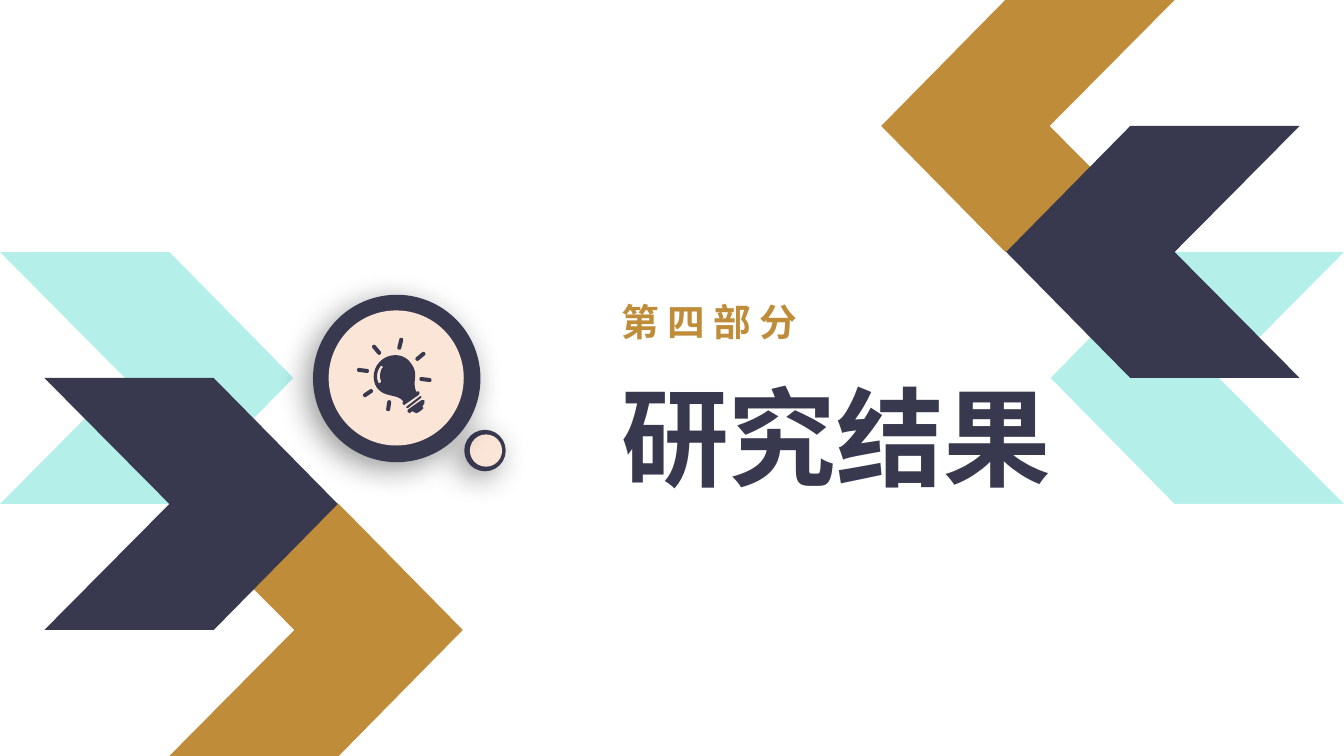
from math import atan2, cos, pi, sin

from lxml import etree
from pptx import Presentation
from pptx.dml.color import RGBColor
from pptx.enum.shapes import MSO_SHAPE as SHAPE
from pptx.enum.text import MSO_ANCHOR as ANCHOR, MSO_AUTO_SIZE as AUTO, PP_ALIGN as ALIGN
from pptx.oxml import parse_xml
from pptx.oxml.ns import nsdecls, qn
from pptx.util import Inches, Pt

W, H = 13.33, 7.5
NAVY, GOLD, MINT, PEACH, WHITE = "38384F", "BF8C39", "B4EFE9", "FBE5D6", "FFFFFF"
FONT = "Noto Sans CJK SC"

# Chevron pointing right; turned by half it points left
CHEVRON = [(1.68, 0), (0, 0), (1.24, 1.25), (0, 2.5), (1.68, 2.5), (2.91, 1.25)]
LEFT_CHEVRONS = [(0, 5, WHITE), (0, 2.5, MINT), (1.68, 5, GOLD), (0, 0, WHITE),
                 (0.44, 3.75, NAVY)]
RIGHT_CHEVRONS = LEFT_CHEVRONS[1:]

# Light bulb: rays as centre lines, outlines as a start point and Bezier curves
RAYS = [(3.71, 3.44, 3.76, 3.5), (3.56, 3.67, 3.64, 3.68), (3.62, 3.92, 3.68, 3.88),
        (3.85, 4.06, 3.86, 3.99), (4.18, 3.76, 4.26, 3.77), (4.14, 3.56, 4.2, 3.51),
        (3.98, 3.37, 3.96, 3.45)]
SCREW = (4.04, 4.04, 4.17, 3.94)
TIP = [(4.18, 3.97), (4.05, 4.06), (4.04, 4.08), (4.06, 4.1), (4.09, 4.08), (4.11, 4.09),
       (4.13, 4.1), (4.15, 4.09), (4.18, 4.07), (4.2, 4.05), (4.19, 4.03), (4.21, 4),
       (4.21, 3.97)]
GLASS = (4.16, 3.89), [(4.16, 3.9, 4.16, 3.91, 4.15, 3.92), (4.02, 4.01, 4.02, 4.01, 4.02, 4.01),
                       (4.01, 4.02, 4, 4.02, 4, 4.01), (3.99, 4, 3.99, 3.99, 4, 3.98),
                       (3.93, 3.9, 3.82, 3.95, 3.74, 3.85), (3.68, 3.76, 3.7, 3.63, 3.8, 3.56),
                       (3.89, 3.5, 4.02, 3.51, 4.08, 3.61), (4.16, 3.71, 4.08, 3.79, 4.13, 3.89),
                       (4.14, 3.88, 4.15, 3.88, 4.16, 3.89)]
GLINT = (3.79, 3.63), [(3.78, 3.63, 3.77, 3.63, 3.77, 3.64), (3.74, 3.68, 3.73, 3.74, 3.75, 3.79),
                       (3.75, 3.8, 3.76, 3.8, 3.77, 3.8), (3.78, 3.79, 3.78, 3.78, 3.78, 3.78),
                       (3.76, 3.74, 3.77, 3.69, 3.79, 3.65), (3.8, 3.65, 3.8, 3.64, 3.79, 3.63)]


def rgb(value):
    return RGBColor.from_string(value)


def capsule(x1, y1, x2, y2, radius=0.02, steps=6):
    """Points of a round-ended bar."""
    angle = atan2(y2 - y1, x2 - x1)
    points = []
    for x, y, start in ((x2, y2, angle - pi / 2), (x1, y1, angle + pi / 2)):
        turns = [start + pi * i / steps for i in range(steps + 1)]
        points += [(x + radius * cos(t), y + radius * sin(t)) for t in turns]
    return points


def curve(start, segments, steps=8):
    """Points along a chain of cubic Bezier curves."""
    points = [start]
    for x1, y1, x2, y2, x3, y3 in segments:
        ends = [points[-1], (x1, y1), (x2, y2), (x3, y3)]
        for i in range(1, steps + 1):
            t = i / steps
            weights = [(1 - t) ** 3, 3 * t * (1 - t) ** 2, 3 * t * t * (1 - t), t ** 3]
            points.append(tuple(sum(w * e[k] for w, e in zip(weights, ends)) for k in (0, 1)))
    return points


class SectionSlide:
    def __init__(self, prs):
        self.s = prs.slides.add_slide(prs.slide_layouts[0])

    def paint(self, sp, color):
        sp.shadow.inherit = False
        sp.fill.solid()
        sp.fill.fore_color.rgb = rgb(color)
        sp.line.fill.background()
        return sp

    def outline(self, shapes, contours, color):
        first, *others = [[(Inches(x), Inches(y)) for x, y in points] for points in contours]
        builder = shapes.build_freeform(*first[0])
        builder.add_line_segments(first[1:])
        for points in others:
            builder.move_to(*points[0])
            builder.add_line_segments(points[1:])
        return self.paint(builder.convert_to_shape(), color)

    def chevron(self, x, y, color, turned=False):
        points = [(x + dx, y + dy) for dx, dy in CHEVRON]
        if turned:
            points = [(W - px, H - py) for px, py in points]
        self.outline(self.s.shapes, [points], color)

    def ellipse(self, shapes, x, y, w, h, color):
        box = [Inches(v) for v in (x, y, w, h)]
        return self.paint(shapes.add_shape(SHAPE.OVAL, *box), color)

    def bubble(self, x, y, size, inner_x, inner_y, inner_size):
        shapes = self.s.shapes.add_group_shape().shapes
        ring = self.ellipse(shapes, x, y, size, size, NAVY)
        ring.line.color.rgb = rgb(NAVY)
        ring.line.width = Pt(2.25)
        effects = ring.element.spPr.find(qn("a:effectLst"))
        effects.append(parse_xml(
            f'<a:outerShdw {nsdecls("a")} blurRad="{Pt(22)}" dist="{Pt(7)}" dir="{135 * 60000}" '
            'algn="tr" rotWithShape="0"><a:srgbClr val="000000"><a:alpha val="40000"/>'
            '</a:srgbClr></a:outerShdw>'))
        self.ellipse(shapes, inner_x, inner_y, inner_size, inner_size, PEACH)
        return shapes

    def heading(self, sp, text, x, y, w, h, size, color):
        sp.left, sp.top, sp.width, sp.height = [Inches(v) for v in (x, y, w, h)]
        sp.element.getparent().append(sp.element)  # bring to front
        tf = sp.text_frame
        tf.text = text
        tf.word_wrap = True
        tf.auto_size = AUTO.NONE
        tf.vertical_anchor = ANCHOR.MIDDLE
        tf.margin_top = tf.margin_bottom = 0
        p = tf.paragraphs[0]
        p.alignment = ALIGN.LEFT
        p.line_spacing = 1.0
        p.space_before = Pt(0)
        font = p.runs[0].font
        font.name, font.size, font.bold = FONT, Pt(size), True
        font.color.rgb = rgb(color)
        etree.SubElement(font._element, qn("a:ea")).set("typeface", FONT)


def main():
    prs = Presentation()
    prs.slide_width, prs.slide_height = Inches(W), Inches(H)
    slide = SectionSlide(prs)
    title, subtitle = slide.s.placeholders

    # Chevrons on the right and left
    for x, y, color in RIGHT_CHEVRONS:
        slide.chevron(x, y, color, turned=True)
    for x, y, color in LEFT_CHEVRONS:
        slide.chevron(x, y, color)

    # Section number and title
    slide.heading(subtitle, "第 四 部 分", 6.06, 2.91, 4.05, 0.55, 26.9, GOLD)
    slide.heading(title, "研究结果", 6.06, 3.63, 5.73, 1.38, 76.8, NAVY)

    # Bubbles with the light bulb
    slide.bubble(4.62, 4.28, 0.38, 4.66, 4.31, 0.32)
    large = slide.bubble(3.12, 2.94, 1.63, 3.26, 3.08, 1.34)
    bulb = [capsule(*ray) for ray in RAYS]
    bulb += [capsule(*SCREW, radius=0.01), TIP, curve(*GLASS), curve(*GLINT)]
    slide.outline(large, bulb, NAVY)

    prs.save("out.pptx")


if __name__ == "__main__":
    main()
